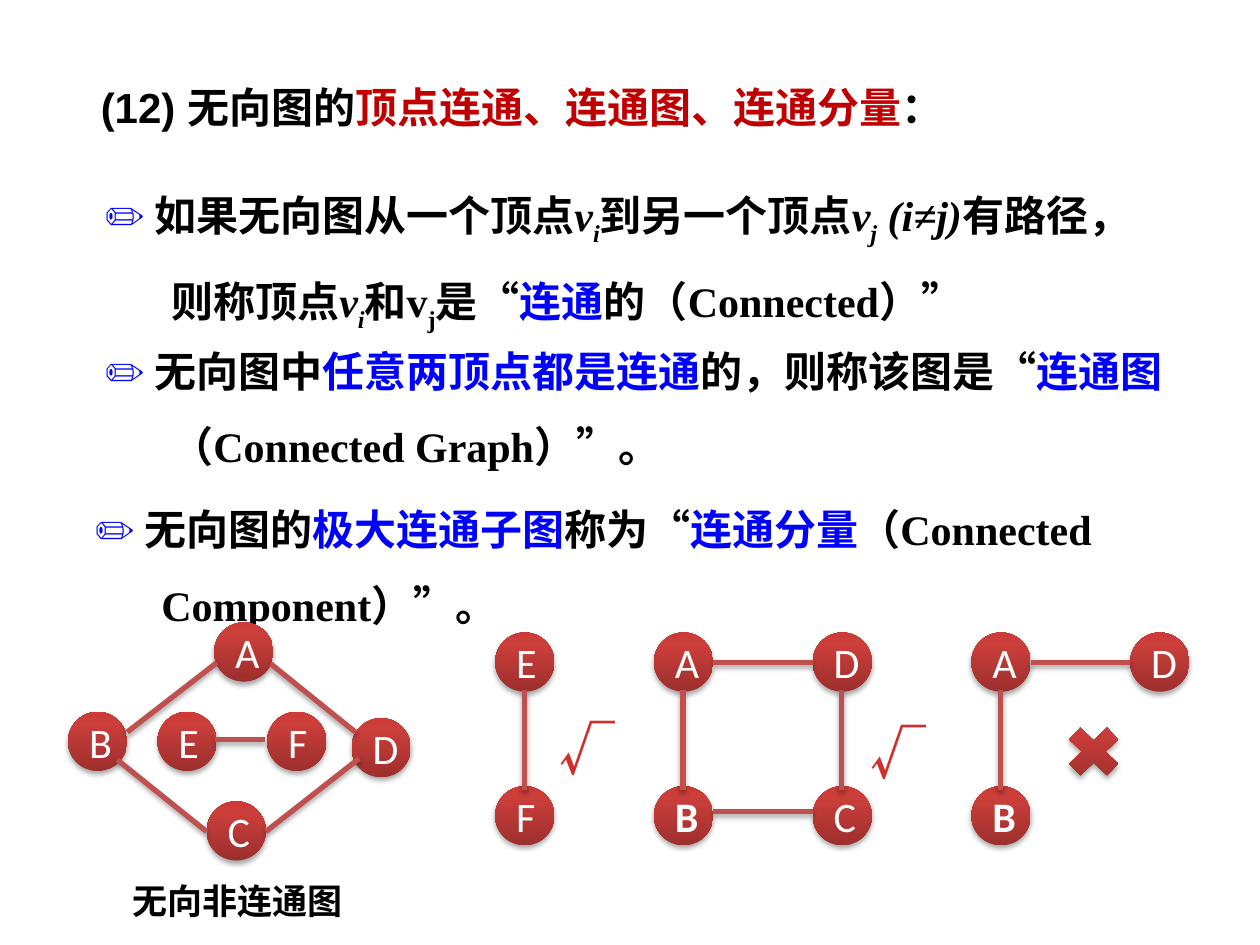
from dataclasses import dataclass

from pptx import Presentation
from pptx.dml.color import RGBColor
from pptx.enum.shapes import MSO_CONNECTOR, MSO_SHAPE
from pptx.enum.text import MSO_ANCHOR, MSO_AUTO_SIZE, PP_ALIGN
from pptx.oxml import parse_xml
from pptx.oxml.ns import nsdecls, qn
from pptx.util import Inches, Pt

ELLIPSE = MSO_SHAPE.OVAL
CROSS = MSO_SHAPE.MATH_MULTIPLY
STRAIGHT = MSO_CONNECTOR.STRAIGHT
LEFT, CENTER = PP_ALIGN.LEFT, PP_ALIGN.CENTER
MIDDLE, TOP = MSO_ANCHOR.MIDDLE, MSO_ANCHOR.TOP
NO_FIT = MSO_AUTO_SIZE.NONE


@dataclass(frozen=True)
class Theme:
    black: RGBColor = RGBColor(0x00, 0x00, 0x00)
    white: RGBColor = RGBColor(0xFF, 0xFF, 0xFF)
    blue: RGBColor = RGBColor(0x00, 0x00, 0xFF)
    crimson: RGBColor = RGBColor(0xC0, 0x00, 0x00)
    edge: RGBColor = RGBColor(0xC0, 0x50, 0x4D)
    node_stops: tuple = ((0, "9C2F2D"), (80, "CB3E3A"), (100, "CE3B37"))
    tick_stops: tuple = ((0, "FC7C7A"), (75, "D02F2C"), (100, "C70500"))
    body_font: str = "Times New Roman"
    title_font: str = "Arial"
    chinese_font: str = "Noto Sans CJK SC"
    tick_font: str = "Noto Sans CJK JP"
    node_font: str = "Calibri"
    text_size: Pt = Pt(24)
    caption_size: Pt = Pt(20)
    tick_size: Pt = Pt(32)
    edge_width: Pt = Pt(3)


THEME = Theme()
NODE_SIZE = 0.47
COLUMN_STEP, ROW_STEP = 1.26, 1.22

PLAIN = {}
BLUE = {"color": THEME.blue}
ITALIC = {"italic": True}
ITALIC_SUB = {"italic": True, "subscript": True}
SUB = {"subscript": True}

DEFINITIONS = [
    ((0.83, 1.23, 8.46, 1.31), [
        ("✏ ", BLUE), ("如果无向图从一个顶点", PLAIN), ("v", ITALIC), ("i", ITALIC_SUB),
        ("到另一个顶点", PLAIN), ("v", ITALIC), ("j", ITALIC_SUB), (" (i≠j)", ITALIC),
        ("有路径，则称顶点", PLAIN), ("v", ITALIC), ("i", ITALIC_SUB), ("和v", PLAIN),
        ("j", SUB), ("是“", PLAIN), ("连通", BLUE), ("的（Connected）”", PLAIN)]),
    ((0.83, 2.49, 8.65, 1.31), [
        ("✏ ", BLUE), ("无向图中", PLAIN), ("任意两顶点都是连通", BLUE),
        ("的，则称该图是“", PLAIN), ("连通图", BLUE), ("（Connected Graph）”。", PLAIN)]),
    ((0.75, 3.75, 8.85, 1.24), [
        ("✏ ", BLUE), ("无向图的", PLAIN), ("极大连通子图", BLUE), ("称为“", PLAIN),
        ("连通分量", BLUE), ("（Connected Component）”。", PLAIN)]),
]

DIAMOND_NODES = [("A", 1.16, 0), ("B", 0, 0.71), ("D", 2.25, 0.76), ("C", 1.1, 1.42),
                 ("E", 0.71, 0.71), ("F", 1.58, 0.71)]
DIAMOND_EDGES = [(1.18, 0.32, 0.47, 0.87), (1.61, 0.33, 2.28, 0.87),
                 (1.1, 1.66, 0.39, 1.09), (2.31, 1.08, 1.57, 1.66),
                 (1.56, 0.93, 1.17, 0.93)]


def inches(*values):
    return [Inches(value) for value in values]


def apply_gradient(fill, parent, stops, angle):
    fill.solid()
    stop_xml = "".join(
        f'<a:gs pos="{position * 1000}"><a:srgbClr val="{color}"/></a:gs>'
        for position, color in stops)
    gradient = parse_xml(
        f'<a:gradFill {nsdecls("a")} rotWithShape="1"><a:gsLst>{stop_xml}</a:gsLst>'
        f'<a:lin ang="{angle * 60000}" scaled="0"/></a:gradFill>')
    parent.replace(parent.find(qn("a:solidFill")), gradient)


def add_shadow(shape):
    shape._element.spPr.append(parse_xml(
        f'<a:effectLst {nsdecls("a")}><a:outerShdw blurRad="{Pt(3.1)}" dist="{Pt(1.8)}" '
        'dir="5400000" rotWithShape="0"><a:srgbClr val="000000"><a:alpha val="35000"/>'
        '</a:srgbClr></a:outerShdw></a:effectLst>'))


def add_red_shape(shapes, kind, box):
    shape = shapes.add_shape(kind, *inches(*box))
    apply_gradient(shape.fill, shape._element.spPr, THEME.node_stops, 270)
    shape.line.fill.background()
    add_shadow(shape)
    return shape


def add_node(shapes, label, left, top, bold=False):
    node = add_red_shape(shapes, ELLIPSE, (left, top, NODE_SIZE, NODE_SIZE))
    node.text_frame.vertical_anchor = MIDDLE
    paragraph = node.text_frame.paragraphs[0]
    paragraph.text = label
    paragraph.alignment = CENTER
    paragraph.font.name = THEME.node_font
    paragraph.font.size = THEME.text_size
    paragraph.font.bold = bold
    paragraph.font.color.rgb = THEME.white


def add_edge(shapes, left, top, start_x, start_y, end_x, end_y):
    edge = shapes.add_connector(
        STRAIGHT, *inches(left + start_x, top + start_y, left + end_x, top + end_y))
    edge.line.color.rgb = THEME.edge
    edge.line.width = THEME.edge_width
    add_shadow(edge)


def add_graph(slide, left, top, nodes, edges, bold_labels=""):
    shapes = slide.shapes.add_group_shape().shapes
    for label, x, y in nodes:
        add_node(shapes, label, left + x, top + y, label in bold_labels)
    for edge in edges:
        add_edge(shapes, left, top, *edge)


def add_grid_graph(slide, left, top, cells, bold_labels=""):
    nodes = [(label, column * COLUMN_STEP, row * ROW_STEP)
             for (column, row), label in cells.items()]
    edges = []
    for column, row in cells:
        x, y = column * COLUMN_STEP, row * ROW_STEP
        if (column, row + 1) in cells:
            edges.append((x + 0.23, y + 0.46, x + 0.23, y + ROW_STEP + 0.03))
        if (column + 1, row) in cells:
            line_y = y + 0.24 - 0.04 * row
            edges.append((x + COLUMN_STEP, line_y, x + NODE_SIZE, line_y))
    add_graph(slide, left, top, nodes, edges, bold_labels)


def add_title(slide, box):
    title = slide.shapes.title
    title.left, title.top, title.width, title.height = inches(*box)
    frame = title.text_frame
    frame.auto_size = NO_FIT
    frame.vertical_anchor = TOP
    paragraph = frame.paragraphs[0]
    paragraph.alignment = LEFT
    paragraph.font.size = THEME.text_size
    paragraph.font.bold = True
    for text, name, color in [
            ("(12) 无向图的", THEME.title_font, THEME.black),
            ("顶点连通、连通图、连通分量", THEME.chinese_font, THEME.crimson),
            ("：", THEME.body_font, THEME.black)]:
        run = paragraph.add_run()
        run.text = text
        run.font.name = name
        run.font.color.rgb = color


def add_definition(slide, box, spans):
    frame = slide.shapes.add_textbox(*inches(*box)).text_frame
    frame.word_wrap = True
    frame.margin_left = frame.margin_right = 0
    paragraph = frame.paragraphs[0]
    properties = paragraph._p.get_or_add_pPr()
    properties.set("marL", str(Inches(0.53)))
    properties.set("indent", str(Inches(-0.53)))
    paragraph.line_spacing = 1.5
    paragraph.font.name = THEME.body_font
    paragraph.font.size = THEME.text_size
    paragraph.font.bold = True
    for text, style in spans:
        run = paragraph.add_run()
        run.text = text
        run.font.color.rgb = style.get("color", THEME.black)
        run.font.italic = style.get("italic")
        if style.get("subscript"):
            run.font._element.set("baseline", "-25000")


def add_label(slide, box, text, name, size):
    frame = slide.shapes.add_textbox(*inches(*box)).text_frame
    frame.word_wrap = False
    paragraph = frame.paragraphs[0]
    paragraph.font.name = name
    paragraph.font.size = size
    paragraph.font.bold = True
    run = paragraph.add_run()
    run.text = text
    run.font.color.rgb = THEME.black
    return run


def add_tick(slide, left, top):
    run = add_label(slide, (left, top, 0.65, 0.64), "√", THEME.tick_font, THEME.tick_size)
    apply_gradient(run.font.fill, run.font._element, THEME.tick_stops, 90)


def main():
    presentation = Presentation()
    presentation.slide_width, presentation.slide_height = inches(10, 7.5)
    slide = presentation.slides.add_slide(presentation.slide_layouts[5])
    add_title(slide, (0.7, 0.6, 8.59, 0.51))
    for box, spans in DEFINITIONS:
        add_definition(slide, box, spans)
    add_grid_graph(slide, 3.93, 5.02, {(0, 0): "E", (0, 1): "F"})
    add_graph(slide, 0.54, 4.94, DIAMOND_NODES, DIAMOND_EDGES)
    add_grid_graph(slide, 5.19, 5.02,
                   {(0, 0): "A", (0, 1): "B", (1, 0): "D", (1, 1): "C"}, "B")
    add_grid_graph(slide, 7.71, 5.02, {(0, 0): "A", (0, 1): "B", (1, 0): "D"}, "B")
    add_red_shape(slide.shapes, CROSS, (8.39, 5.69, 0.58, 0.55))
    add_tick(slide, 4.34, 5.62)
    add_tick(slide, 6.81, 5.65)
    add_label(slide, (0.95, 6.93, 1.9, 0.44), "无向非连通图",
              THEME.body_font, THEME.caption_size)
    presentation.save("out.pptx")


if __name__ == "__main__":
    main()
